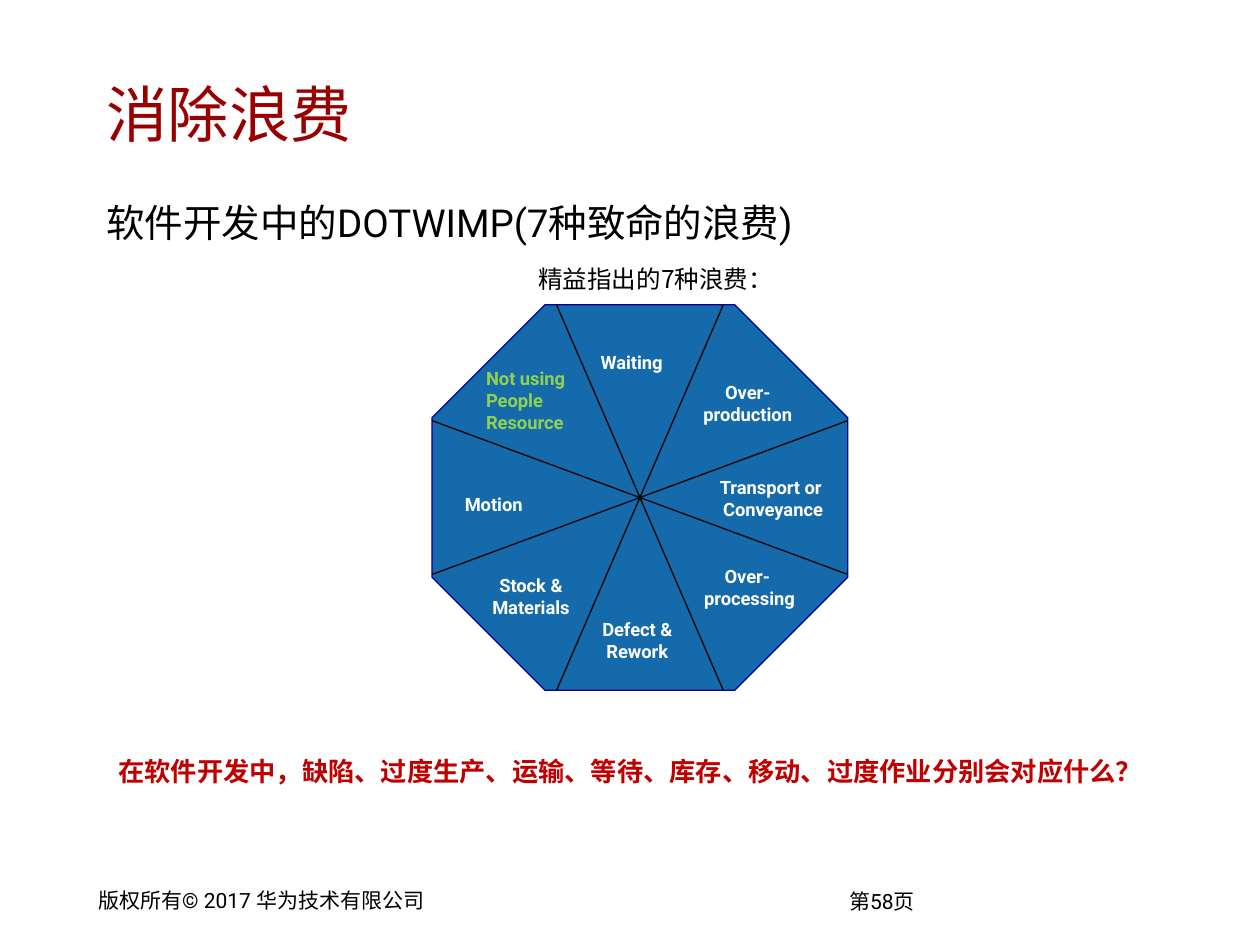
import pptx
import pptx.util
import pptx.dml.color
import pptx.enum.shapes
import pptx.enum.text
import pptx.oxml
import pptx.oxml.ns
import lxml.etree

Cm = pptx.util.Cm
Pt = pptx.util.Pt
LEFT = pptx.enum.text.PP_ALIGN.LEFT
CENTER = pptx.enum.text.PP_ALIGN.CENTER
TOP = pptx.enum.text.MSO_ANCHOR.TOP
MIDDLE = pptx.enum.text.MSO_ANCHOR.MIDDLE
ROBOTO = "Roboto"
NOTO = "Noto Sans CJK SC"

COLORS = {
    "black": "000000",
    "white": "FFFFFF",
    "title": "990000",
    "question": "C00000",
    "highlight": "92D050",
    "wheel": "005EA4",
    "outline": "000099",
}

TEXTS = [
    dict(lines=["第58页"], box=(16.94, 17.83, 1.7, 0.69),
         size=12, insets=(0.18, 0.08)),
    dict(lines=["版权所有© 2017 华为技术有限公司"], box=(1.8, 17.81, 6.96, 0.69),
         size=12, insets=(0.18, 0.08)),
    dict(lines=["消除浪费"], box=(1.9, 1.07, 21.44, 2.41),
         size=35, font=NOTO, color="title", anchor=MIDDLE),
    dict(lines=["软件开发中的DOTWIMP(7种致命的浪费)"], box=(1.9, 3.53, 16, 1.22),
         size=22, spacing=1.4),
    dict(lines=["精益指出的7种浪费："], box=(10.67, 5.23, 5.38, 1.07),
         size=14, font=NOTO, insets=(0.18, 0.1)),
    dict(lines=["在软件开发中，缺陷、过度生产、运输、等待、库存、移动、过度作业分别会对应什么？"],
         box=(2.11, 15.09, 21.23, 0.91), size=15, font=NOTO,
         color="question", bold=True, insets=(0.28, 0.13)),
]

WASTES = [
    (["Over-", "production"], (13.87, 7.57, 2.41, 1.14), CENTER, "white"),
    (["Waiting"], (11.86, 6.96, 1.85, 0.71), LEFT, "white"),
    (["Transport or ", "Conveyance"], (14.2, 9.47, 2.77, 1.14), CENTER, "white"),
    (["Defect & ", "Rework "], (11.84, 12.34, 2.11, 1.6), CENTER, "white"),
    (["Motion"], (9.12, 9.83, 1.78, 0.71), LEFT, "white"),
    (["Stock &", "Materials"], (9.65, 11.46, 2.11, 1.6), CENTER, "white"),
    (["Over- ", "processing"], (13.94, 11.28, 2.34, 1.14), CENTER, "white"),
    (["Not using", "People", "Resource"], (9.55, 7.29, 2.18, 2.06), LEFT, "highlight"),
]

WHEEL_CENTER = (12.9, 10.03)
WHEEL_SIZE = (8.38, 7.77)
SPOKE_OFFSETS = (1.68, 1.55)


def rgb(name):
    return pptx.dml.color.RGBColor.from_string(COLORS[name])


def add_text(slide, lines, box, size, font=ROBOTO, color="black", bold=False,
             insets=(0.25, 0.12), anchor=TOP, align=LEFT, spacing=None, wrap=True):
    shape = slide.shapes.add_textbox(*map(Cm, box))
    frame = shape.text_frame
    frame.word_wrap = wrap
    frame.vertical_anchor = anchor
    frame.margin_left = frame.margin_right = Cm(insets[0])
    frame.margin_top = frame.margin_bottom = Cm(insets[1])
    frame.text = "\n".join(lines)
    for paragraph in frame.paragraphs:
        paragraph.alignment = align
        if spacing:
            paragraph.line_spacing = spacing
        paragraph.font.name = font
        paragraph.font.size = Pt(size)
        paragraph.font.bold = bold
        paragraph.font.color.rgb = rgb(color)
        properties = paragraph._p.pPr.find(pptx.oxml.ns.qn("a:defRPr"))
        east_asian = lxml.etree.SubElement(properties, pptx.oxml.ns.qn("a:ea"))
        east_asian.set("typeface", NOTO)


def add_wheel(slide):
    center_x, center_y = WHEEL_CENTER
    width, height = WHEEL_SIZE
    octagon = slide.shapes.add_shape(
        pptx.enum.shapes.MSO_SHAPE.OCTAGON,
        Cm(center_x - width / 2), Cm(center_y - height / 2), Cm(width), Cm(height))
    octagon.shadow.inherit = False
    octagon.adjustments[0] = 0.293
    octagon.fill.solid()
    octagon.fill.fore_color.rgb = rgb("wheel")
    fill_color = octagon._element.spPr.find(
        pptx.oxml.ns.qn("a:solidFill") + "/" + pptx.oxml.ns.qn("a:srgbClr"))
    lxml.etree.SubElement(fill_color, pptx.oxml.ns.qn("a:alpha")).set("val", "92000")
    octagon.line.color.rgb = rgb("outline")
    octagon.line.width = Pt(0.75)


def add_spokes(slide):
    center_x, center_y = WHEEL_CENTER
    width, height = WHEEL_SIZE
    offset_x, offset_y = SPOKE_OFFSETS
    for reach_x, reach_y in ((offset_x, height / 2), (width / 2, offset_y)):
        for sign_x in (-1, 1):
            for sign_y in (-1, 1):
                spoke = slide.shapes.add_connector(
                    pptx.enum.shapes.MSO_CONNECTOR.STRAIGHT,
                    Cm(center_x), Cm(center_y),
                    Cm(center_x + sign_x * reach_x), Cm(center_y + sign_y * reach_y))
                spoke.line.color.rgb = rgb("black")
                spoke.line.width = Pt(0.75)
                lxml.etree.SubElement(
                    spoke._element.spPr, pptx.oxml.ns.qn("a:effectLst"))


def main():
    presentation = pptx.Presentation()
    presentation.slide_width = Cm(25.4)
    presentation.slide_height = Cm(19.05)
    slide = presentation.slides.add_slide(presentation.slide_layouts[6])
    add_wheel(slide)
    add_spokes(slide)
    for lines, box, align, color in WASTES:
        add_text(slide, lines, box, 10.5, color=color, bold=True,
                 align=align, wrap=False)
    for text in TEXTS:
        add_text(slide, **text)
    presentation.save("out.pptx")


if __name__ == "__main__":
    main()
